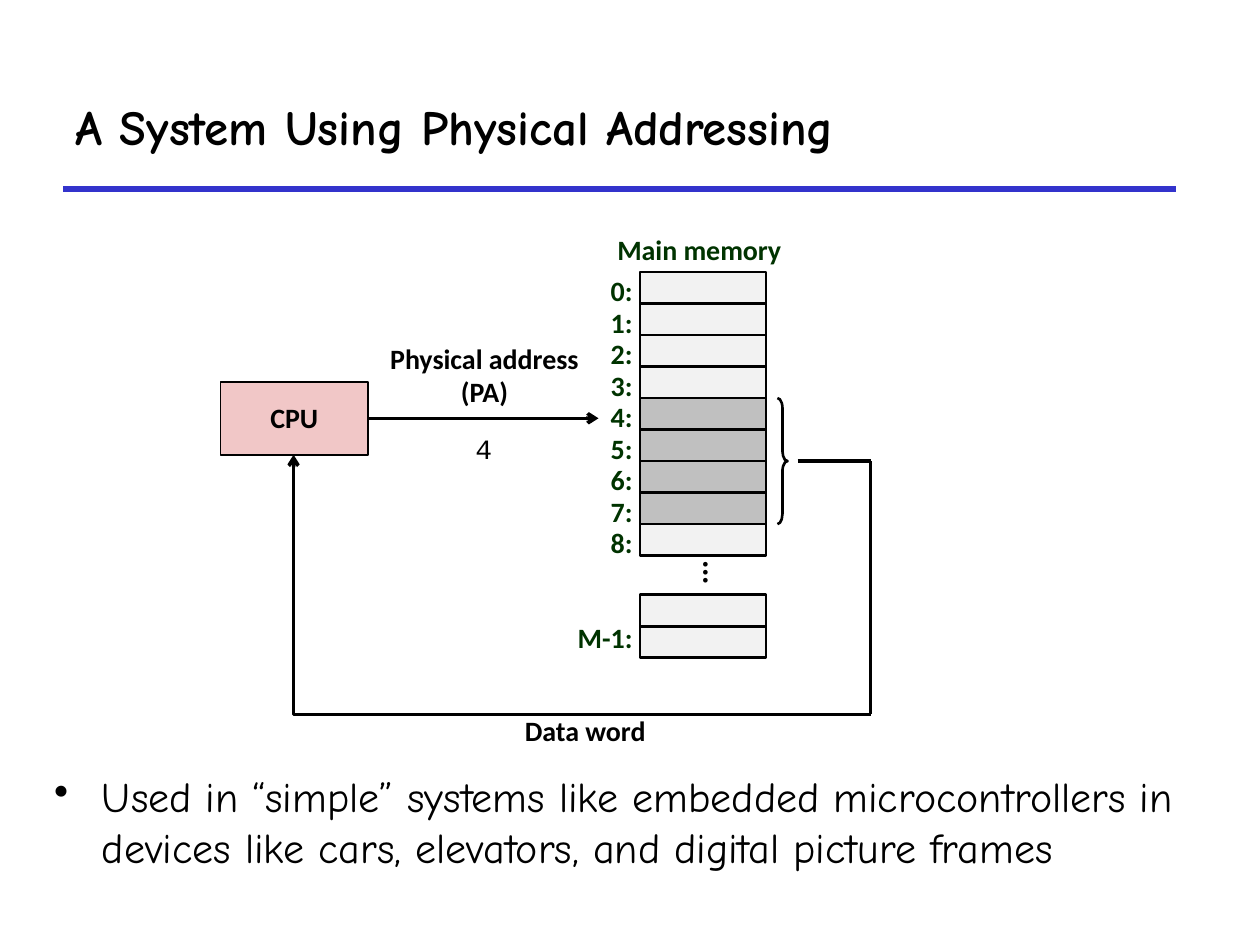
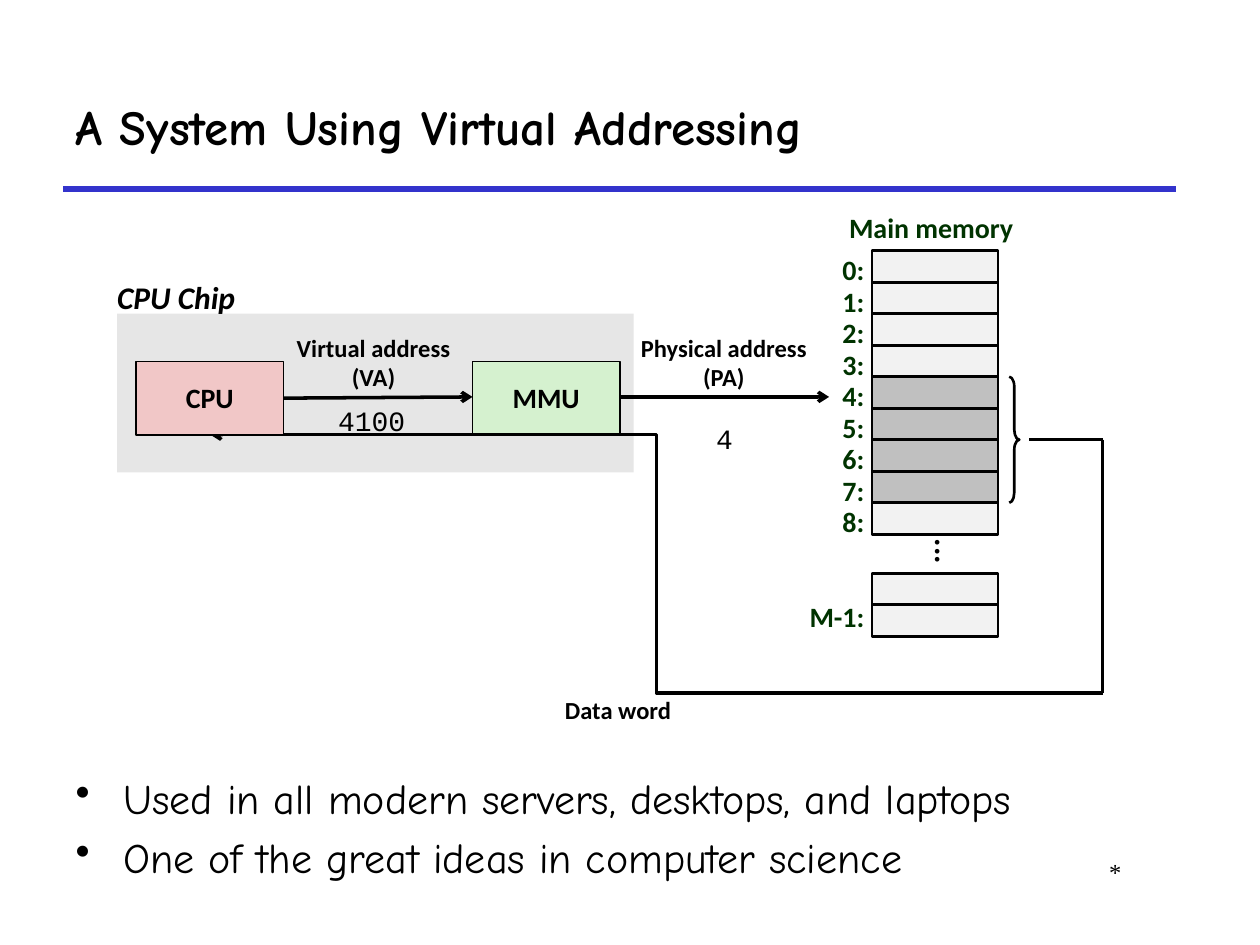
from dataclasses import dataclass

import lxml.etree
import pptx
import pptx.dml.color
import pptx.enum.shapes
import pptx.enum.text
import pptx.oxml.ns
import pptx.util

Inches = pptx.util.Inches
Pt = pptx.util.Pt
qn = pptx.oxml.ns.qn
SHAPE = pptx.enum.shapes.MSO_SHAPE
ALIGN = pptx.enum.text.PP_ALIGN
ANCHOR = pptx.enum.text.MSO_ANCHOR


@dataclass(frozen=True)
class Theme:
    ink: str = "000000"
    rule: str = "3333CC"
    memory: str = "003300"
    cell: str = "F2F2F2"
    word: str = "C0C0C0"
    cpu: str = "F1C7C7"
    mmu: str = "D5F1CF"
    chip: str = "E6E6E6"
    heading: str = "Comic Neue"
    label: str = "Calibri"
    mono: str = "Courier New"
    footer: str = "Times New Roman"
    title_size: int = 28
    bullet_size: int = 24
    large_size: int = 18
    label_size: int = 16
    small_size: int = 14
    rule_width: float = 3
    wire_width: float = 2
    cell_width: float = 1.5
    box_width: float = 1


T = Theme()
ROW = 0.25
ROWS = 9
WORD_ROWS = range(4, 8)
BOX_SIZE = (1.17, 0.58)


def rgb(color):
    return pptx.dml.color.RGBColor.from_string(color)


def fill_text(sp, lines, size=T.label_size, font=T.label, color=T.ink, bold=True, italic=False,
              align=ALIGN.CENTER, anchor=ANCHOR.MIDDLE, spacing=None, before=0):
    tf = sp.text_frame
    tf.word_wrap = True
    tf.margin_left = tf.margin_right = 0
    tf.vertical_anchor = anchor
    for i, line in enumerate(lines):
        p = tf.add_paragraph() if i else tf.paragraphs[0]
        p.text = line
        p.alignment = align
        p.line_spacing = spacing
        p.space_before = Pt(before)
        p.font.name = font
        p.font.size = Pt(size)
        p.font.bold = bold
        p.font.italic = italic
        p.font.color.rgb = rgb(color)
    return tf


def add_text(slide, at, *lines, **style):
    sp = slide.shapes.add_textbox(*map(Inches, at))
    return fill_text(sp, lines, **style)


def add_outline(sp, width, color=T.ink):
    sp.line.color.rgb = rgb(color)
    sp.line.width = Pt(width)


def add_box(slide, at, fill, line_width=None, label=None):
    sp = slide.shapes.add_shape(SHAPE.RECTANGLE, *map(Inches, at))
    sp.shadow.inherit = False
    sp.fill.solid()
    sp.fill.fore_color.rgb = rgb(fill)
    if line_width:
        add_outline(sp, line_width)
    else:
        sp.line.fill.background()
    if label:
        fill_text(sp, [label], spacing=0.98)


def add_arrowhead(sp):
    ln = sp._element.spPr.find(qn("a:ln"))
    lxml.etree.SubElement(ln, qn("a:tailEnd"), type="arrow")


def add_line(slide, start, end, width=T.wire_width, color=T.ink, arrow=False):
    kind = pptx.enum.shapes.MSO_CONNECTOR.STRAIGHT
    sp = slide.shapes.add_connector(kind, *map(Inches, (*start, *end)))
    add_outline(sp, width, color)
    lxml.etree.SubElement(sp._element.spPr, qn("a:effectLst"))
    if arrow:
        add_arrowhead(sp)


def add_return_path(slide, *points):
    start, *rest = [(Inches(x), Inches(y)) for x, y in points]
    builder = slide.shapes.build_freeform(*start)
    builder.add_line_segments(rest, close=False)
    sp = builder.convert_to_shape()
    sp.shadow.inherit = False
    sp.fill.background()
    add_outline(sp, T.wire_width)
    add_arrowhead(sp)


def add_bullets(slide, at, *lines):
    tf = add_text(slide, at, *lines, font=T.heading, size=T.bullet_size, bold=False,
                  align=ALIGN.LEFT, anchor=ANCHOR.TOP, before=0.2 * T.bullet_size)
    for p in tf.paragraphs:
        pPr = p._p.get_or_add_pPr()
        pPr.set("marL", str(Inches(0.38)))
        pPr.set("indent", str(Inches(-0.38)))
        bullet = lxml.etree.Element(qn("a:buChar"), char="•")
        pPr.find(qn("a:defRPr")).addprevious(bullet)


def add_brace(slide, at):
    sp = slide.shapes.add_shape(SHAPE.RIGHT_BRACE, *map(Inches, at))
    sp.shadow.inherit = False
    sp.adjustments[0] = 1.0
    sp.fill.background()
    add_outline(sp, T.cell_width)


def add_memory(slide, left, top):
    def label(at, text, align):
        add_text(slide, at, text, color=T.memory, align=align, anchor=ANCHOR.TOP,
                 spacing=0.88, before=6)

    def cell(y, fill=T.cell):
        add_box(slide, (left, y, 1, ROW), fill, T.cell_width)

    label((left - 0.29, top - 0.33, 1.52, 0.34), "Main memory", ALIGN.CENTER)
    for row in range(ROWS):
        y = top + row * ROW
        cell(y, T.word if row in WORD_ROWS else T.cell)
        label((left - 0.86, y, 0.8, 0.34), f"{row}:", ALIGN.RIGHT)
    dots = add_text(slide, (left + 0.09, top + 2.26, 1, ROW), "...", size=T.large_size, spacing=0.98)
    dots._txBody.bodyPr.set("vert", "vert")
    dots.word_wrap = False
    for y in (top + 2.56, top + 2.56 + ROW):
        cell(y)
    label((left - 0.86, top + 2.75, 0.8, 0.34), "M-1:", ALIGN.RIGHT)

    word_top = top + WORD_ROWS[0] * ROW
    word_middle = word_top + len(WORD_ROWS) * ROW / 2
    corner = (left + 1.83, word_middle)
    exit_point = (left + 1.83, top + 3.51)
    add_brace(slide, (left + 1.09, word_top, 0.08, len(WORD_ROWS) * ROW))
    add_line(slide, (left + 1.25, word_middle), corner)
    add_line(slide, corner, exit_point)
    return exit_point


def add_number(slide, at, text):
    add_text(slide, at, text, font=T.mono, bold=False, anchor=ANCHOR.TOP)


def add_slide(prs, title):
    slide = prs.slides.add_slide(prs.slide_layouts[6])
    add_line(slide, (0.5, 1.5), (9.33, 1.5), T.rule_width, T.rule)
    add_text(slide, (0.6, 0.5, 8.63, 1), title, font=T.heading, size=T.title_size, align=ALIGN.LEFT)
    return slide


def build_physical(prs):
    slide = add_slide(prs, "A System Using Physical Addressing")
    add_bullets(slide, (0.43, 6.07, 9.3, 0.96),
                "Used in “simple” systems like embedded microcontrollers in devices like cars, "
                "elevators, and digital picture frames")
    exit_point = add_memory(slide, 5.08, 2.16)
    add_box(slide, (1.75, 3.03, *BOX_SIZE), T.cpu, T.box_width, "CPU")
    add_text(slide, (2.99, 2.67, 1.71, 0.63), "Physical address", "(PA)", spacing=0.98)
    add_line(slide, (2.92, 3.32), (4.75, 3.32), arrow=True)
    add_number(slide, (3.67, 3.38, 0.34, 0.37), "4")
    add_return_path(slide, exit_point, (2.33, exit_point[1]), (2.33, 3.61))
    add_text(slide, (4.06, 5.62, 1.17, 0.37), "Data word", spacing=0.98)


def build_virtual(prs):
    slide = add_slide(prs, "A System Using Virtual Addressing")
    add_text(slide, (7.58, 6.75, 1.32, 0.5), "*", font=T.footer, size=T.small_size, bold=False,
             align=ALIGN.RIGHT, anchor=ANCHOR.TOP)
    add_box(slide, (0.93, 2.49, 4.1, 1.26), T.chip)
    add_text(slide, (0.93, 2.16, 1.16, 0.4), "CPU Chip", size=T.large_size, italic=True,
             align=ALIGN.LEFT, anchor=ANCHOR.TOP)
    add_bullets(slide, (0.6, 6.08, 8.89, 1.17),
                "Used in all modern servers, desktops, and laptops",
                "One of the great ideas in computer science")
    exit_point = add_memory(slide, 6.92, 1.99)
    add_box(slide, (3.75, 2.87, *BOX_SIZE), T.mmu, T.box_width, "MMU")
    add_return_path(slide, exit_point, (5.21, exit_point[1]), (5.21, 3.45), (1.67, 3.45))
    add_box(slide, (1.08, 2.87, *BOX_SIZE), T.cpu, T.box_width, "CPU")
    add_line(slide, (2.25, 3.16), (3.75, 3.15), arrow=True)
    add_line(slide, (4.92, 3.15), (6.58, 3.15), arrow=True)
    small = {"size": T.small_size, "spacing": 0.98}
    add_text(slide, (2.25, 2.6, 1.43, 0.57), "Virtual address", "(VA)", **small)
    add_text(slide, (4.98, 2.6, 1.53, 0.57), "Physical address", "(PA)", **small)
    add_text(slide, (4.38, 5.47, 1.05, 0.34), "Data word", **small)
    add_number(slide, (2.58, 3.15, 0.74, 0.37), "4100")
    add_number(slide, (5.58, 3.3, 0.34, 0.37), "4")


def main():
    prs = pptx.Presentation()
    prs.slide_width = Inches(10)
    prs.slide_height = Inches(7.5)
    build_physical(prs)
    build_virtual(prs)
    prs.save("out.pptx")


if __name__ == "__main__":
    main()
